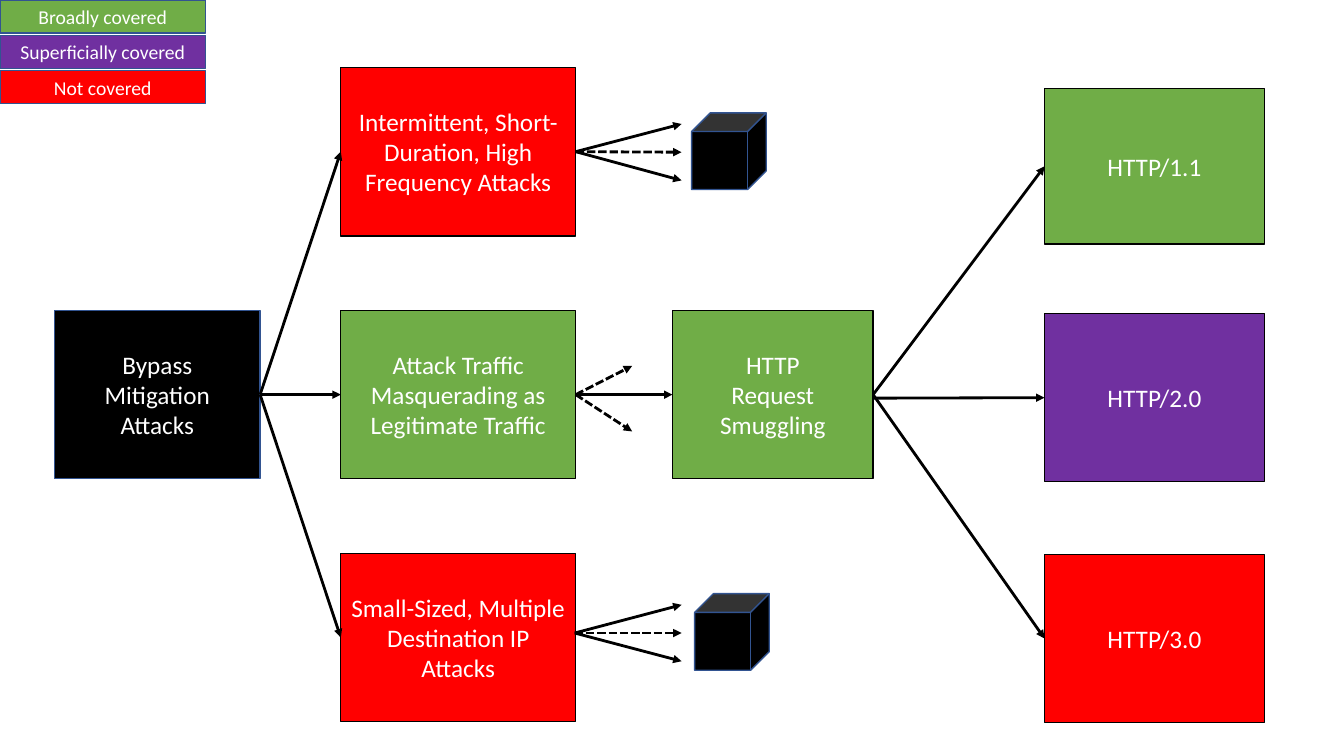
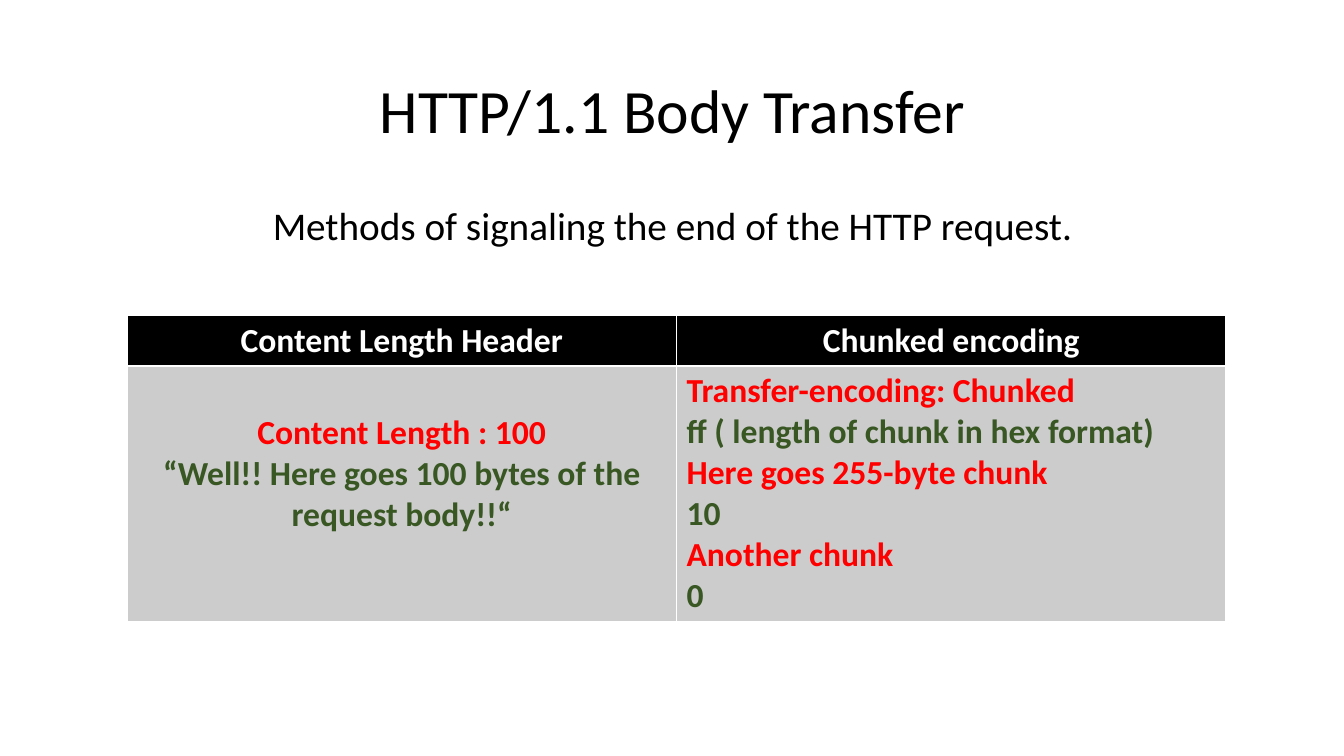
from lxml import etree
from pptx import Presentation
from pptx.dml.color import RGBColor
from pptx.enum import dml, shapes, text
from pptx.oxml.ns import qn
from pptx.util import Inches, Pt

BLACK = RGBColor(0x00, 0x00, 0x00)
WHITE = RGBColor(0xFF, 0xFF, 0xFF)
GREEN = RGBColor(0x70, 0xAD, 0x47)
PURPLE = RGBColor(0x70, 0x30, 0xA0)
RED = RGBColor(0xFF, 0x00, 0x00)
BLUE = RGBColor(0x32, 0x54, 0x91)
DARK_GREEN = RGBColor(0x38, 0x57, 0x23)
GREY = RGBColor(0xCC, 0xCC, 0xCC)
FONT = "Calibri"
CENTER = text.PP_ALIGN.CENTER
RECT = shapes.MSO_SHAPE.RECTANGLE
LEFT, RIGHT = 1, 3  # connection sites of a rectangle

prs = Presentation()
prs.slide_width, prs.slide_height = Inches(13.33), Inches(7.5)


def add_box(s, label, x, y, w, h, fill, line=BLACK, size=18, kind=RECT):
    sp = s.shapes.add_shape(kind, Inches(x), Inches(y), Inches(w), Inches(h))
    sp.shadow.inherit = False
    sp.fill.solid()
    sp.fill.fore_color.rgb = fill
    sp.line.color.rgb = line
    sp.line.width = Pt(1)
    if label:
        tf = sp.text_frame
        tf.word_wrap = True
        tf.vertical_anchor = text.MSO_ANCHOR.MIDDLE
        tf.text = label
        for p in tf.paragraphs:
            p.alignment = CENTER
            p.font.name, p.font.size = FONT, Pt(size)
            p.font.color.rgb = WHITE
    return sp


def add_arrow(s, x1=0, y1=0, x2=0, y2=0, begin=None, end=None, dashed=False):
    c = s.shapes.add_connector(shapes.MSO_CONNECTOR.STRAIGHT,
                               Inches(x1), Inches(y1), Inches(x2), Inches(y2))
    if begin is not None:
        c.begin_connect(begin, RIGHT)
    if end is not None:
        c.end_connect(end, LEFT)
    c.line.color.rgb = BLACK
    c.line.width = Pt(2)
    if dashed:
        c.line.dash_style = dml.MSO_LINE.SQUARE_DOT
    ln = c.line._get_or_add_ln()
    etree.SubElement(ln, qn("a:tailEnd"), type="triangle")
    etree.SubElement(c._element.spPr, qn("a:effectLst"))


# Slide 1: attack tree
s = prs.slides.add_slide(prs.slide_layouts[6])

root = add_box(s, "Bypass\nMitigation\nAttacks", 0.54, 3.08, 2.04, 1.67, BLACK, BLUE)
attacks = [
    add_box(s, label, 3.38, 0.67 + 2.41 * i, 2.33, 1.67, fill)
    for i, (label, fill) in enumerate([
        ("Intermittent, Short-Duration, High Frequency Attacks", RED),
        ("Attack Traffic Masquerading as Legitimate Traffic", GREEN),
        ("Small-Sized, Multiple Destination IP Attacks", RED),
    ])
]
smuggling = add_box(s, "HTTP\nRequest\nSmuggling", 6.67, 3.08, 1.99, 1.67, GREEN)
http1, http2, http3 = [
    add_box(s, label, 10.36, y, 2.18, h, fill)
    for label, y, h, fill in [
        ("HTTP/1.1", 0.88, 1.54, GREEN),
        ("HTTP/2.0", 3.11, 1.67, PURPLE),
        ("HTTP/3.0", 5.5, 1.67, RED),
    ]
]

# Arrows between boxes
pairs = [(root, attack) for attack in attacks]
pairs += [(attacks[1], smuggling), (smuggling, http1), (smuggling, http3)]
for begin, end in pairs:
    add_arrow(s, begin=begin, end=end)
add_arrow(s, 8.66, 3.95, end=http2)

# Open fans of further attacks, each leading to a cube
for begin, y, cube_x in [(attacks[0], 1.51, 6.86), (None, 6.28, 6.89)]:
    for dy in (0, 0.28, -0.28):
        add_arrow(s, 5.7, y, 6.76, y + dy, begin=begin, dashed=dy == 0)
    add_box(s, "", cube_x, y - 0.39, 0.74, 0.76, BLACK, BLUE, kind=shapes.MSO_SHAPE.CUBE)
for y in (4.28, 3.63):
    add_arrow(s, x2=6.27, y2=y, begin=attacks[1], dashed=True)

# Legend
legend = [("Broadly covered", GREEN), ("Superficially covered", PURPLE), ("Not covered", RED)]
for i, (label, fill) in enumerate(legend):
    add_box(s, label, 0, 0.35 * i, 2.04, 0.33, fill, BLUE, 14)

# Slide 2: title and subtitle
s = prs.slides.add_slide(prs.slide_layouts[5])
title = s.shapes.title
title.left, title.top, title.width, title.height = [Inches(v) for v in (0.92, 0.4, 11.5, 1.45)]
subtitle = s.shapes.add_textbox(Inches(0.92), Inches(2), Inches(11.5), Inches(0.6))
for sp, words, size in [
    (title, "HTTP/1.1 Body Transfer", 44),
    (subtitle, "Methods of signaling the end of the HTTP request.", 28),
]:
    tf = sp.text_frame
    tf.word_wrap = True
    tf.text = words
    p = tf.paragraphs[0]
    p.alignment = CENTER
    p.line_spacing = 0.9
    p.font.name, p.font.size = FONT, Pt(size)
    p.font.color.rgb = BLACK
title.text_frame.vertical_anchor = text.MSO_ANCHOR.MIDDLE

# Table of the two methods
tbl = s.shapes.add_table(2, 2, Inches(1.26), Inches(3.13), Inches(10.9), Inches(3.04)).table
tbl.horz_banding = False
tbl.rows[0].height, tbl.rows[1].height = Inches(0.5), Inches(2.54)
columns = [
    ("Content Length Header", CENTER, [
        "Content Length : 100",
        "“Well!! Here goes 100 bytes of the request body!!“",
    ]),
    ("Chunked encoding", text.PP_ALIGN.LEFT, [
        "Transfer-encoding: Chunked",
        "ff ( length of chunk in hex format)",
        "Here goes 255-byte chunk",
        "10",
        "Another chunk",
        "0",
    ]),
]
for col, (header, align, lines) in enumerate(columns):
    for row, (words, fill, al, colors) in enumerate([
        (header, BLACK, CENTER, [WHITE]),
        ("\n".join(lines), GREY, align, [RED, DARK_GREEN]),
    ]):
        cell = tbl.cell(row, col)
        cell.fill.solid()
        cell.fill.fore_color.rgb = fill
        cell.text = words
        for i, p in enumerate(cell.text_frame.paragraphs):
            p.alignment = al
            p.font.name, p.font.size, p.font.bold = FONT, Pt(24), True
            p.font.color.rgb = colors[i % len(colors)]
tbl.cell(1, 0).margin_top = Inches(0.46)  # starts one line lower

prs.save("out.pptx")
